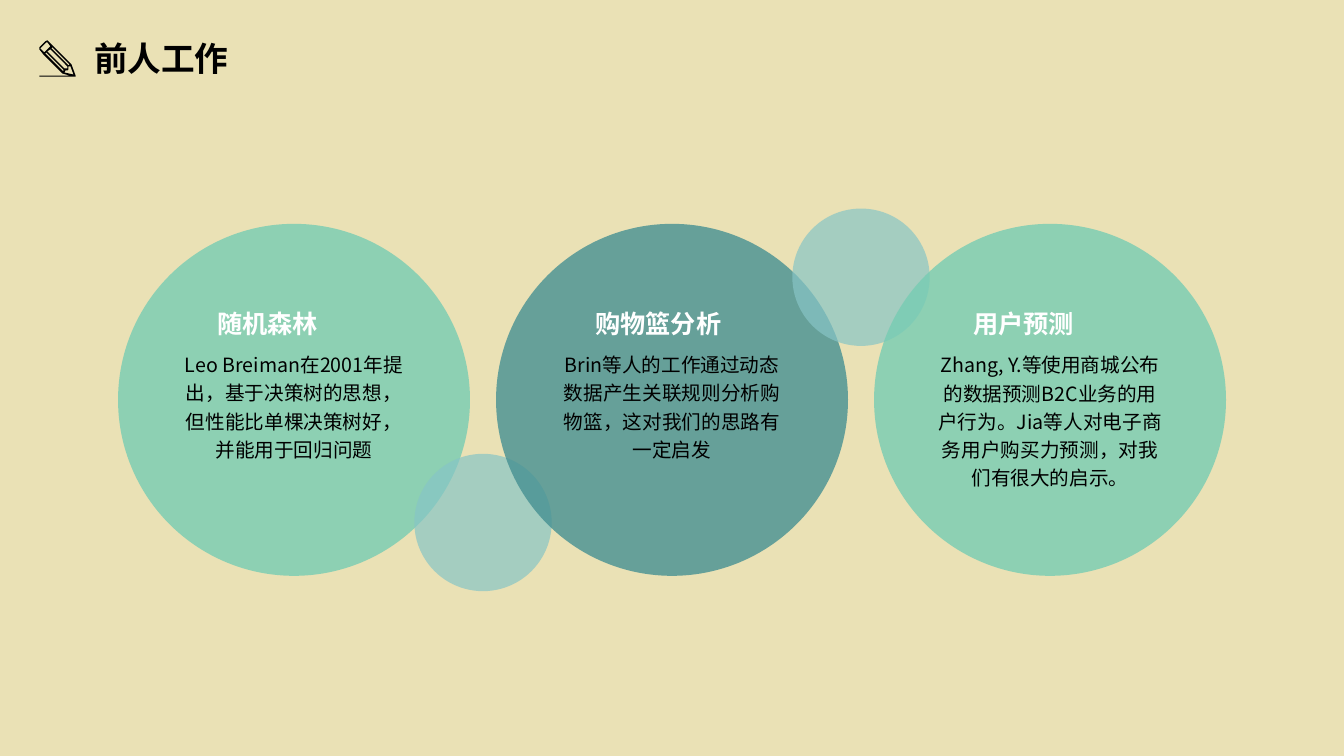
from dataclasses import dataclass

from lxml.etree import SubElement
from pptx import Presentation
from pptx.dml.color import RGBColor
from pptx.enum.shapes import MSO_SHAPE
from pptx.enum.text import MSO_ANCHOR, MSO_AUTO_SIZE as AutoSize, PP_ALIGN as Align
from pptx.oxml.ns import qn
from pptx.shapes.autoshape import Shape
from pptx.slide import Slide
from pptx.util import Emu, Inches, Pt

# The slide is a grid of 32 columns by 18 rows of square cells.
WIDTH, HEIGHT = Inches(13.333), Inches(7.5)
CELL = HEIGHT / 18


@dataclass(frozen=True)
class Theme:
    font: str = "Noto Sans CJK SC"
    sand: str = "EAE1B5"
    mint: str = "76CCB3"
    teal: str = "459092"
    aqua: str = "87C5C6"
    ink: str = "000000"
    white: str = "FFFFFF"
    title_size: int = 24
    heading_size: int = 18
    body_size: int = 14


@dataclass(frozen=True)
class Area:
    """A box in grid columns and rows."""
    left: float
    top: float
    width: float
    height: float

    def emu(self) -> list[Emu]:
        return [Emu(round(n * CELL)) for n in (self.left, self.top, self.width, self.height)]


@dataclass(frozen=True)
class Disc:
    column: float
    row: float
    size: float
    color: str
    opacity: int


@dataclass(frozen=True)
class Topic:
    heading: str
    body: str
    color: str
    body_rows: float


THEME = Theme()
CENTER, MIDDLE = 16, 9.52
PITCH = 9
TOPIC_SIZE, BUBBLE_SIZE, BUBBLE_SHIFT = 8.38, 3.27, 2.92

TOPICS = [
    Topic("随机森林",
          "Leo Breiman在2001年提出，基于决策树的思想，但性能比单棵决策树好，并能用于回归问题",
          THEME.mint, 2.95),
    Topic("购物篮分析",
          "Brin等人的工作通过动态数据产生关联规则分析购物篮，这对我们的思路有一定启发",
          THEME.teal, 2.95),
    Topic("用户预测",
          "Zhang, Y.等使用商城公布的数据预测B2C业务的用户行为。"
          "Jia等人对电子商务用户购买力预测，对我们有很大的启示。",
          THEME.mint, 3.62),
]

# Pencil contours in hundredths of an inch: outline with baseline, then the hollows.
PENCIL = [
    [(75, 76), (75, 75), (71, 64), (48, 41), (47, 40), (45, 41), (39, 47), (39, 49),
     (43, 54), (62, 73), (69, 75), (39, 75), (39, 76)],
    [(73, 74), (64, 72), (65, 70), (67, 70), (68, 69), (68, 66), (70, 66)],
    [(52, 47), (69, 64), (68, 65), (51, 48)],
    [(50, 49), (67, 66), (67, 68), (64, 68), (47, 51)],
    [(40, 48), (46, 42), (47, 42), (50, 46), (44, 52)],
    [(46, 52), (63, 69), (63, 71), (45, 53)],
]


def paint(shape: Shape, color: str, opacity: int = 100) -> None:
    shape.shadow.inherit = False
    shape.line.fill.background()
    shape.fill.solid()
    shape.fill.fore_color.rgb = RGBColor.from_string(color)
    if opacity < 100:
        tint = shape.fill._xPr.find(qn("a:solidFill"))[0]
        SubElement(tint, qn("a:alpha"), val=str(opacity * 1000))


def write(box: Shape, text: str, size: int, color: str, bold: bool = False,
          align: Align = Align.LEFT, spacing: float = 1.0) -> None:
    frame = box.text_frame
    frame.text = text
    frame.word_wrap = True
    frame.auto_size = AutoSize.SHAPE_TO_FIT_TEXT
    frame.vertical_anchor = MSO_ANCHOR.TOP
    para = frame.paragraphs[0]
    para.alignment = align
    para.line_spacing = spacing
    span = para.runs[0]
    span.font.size = Pt(size)
    span.font.bold = bold
    span.font.color.rgb = RGBColor.from_string(color)
    span.font.name = THEME.font
    SubElement(span.font._element, qn("a:ea"), typeface=THEME.font)


def add_disc(page: Slide, disc: Disc) -> None:
    area = Area(disc.column - disc.size / 2, disc.row - disc.size / 2, disc.size, disc.size)
    paint(page.shapes.add_shape(MSO_SHAPE.OVAL, *area.emu()), disc.color, disc.opacity)


def add_topic_text(page: Slide, topic: Topic, column: float) -> None:
    body = page.shapes.add_textbox(*Area(column - 2.99, 8.18, 5.98, topic.body_rows).emu())
    write(body, topic.body, THEME.body_size, THEME.ink, align=Align.CENTER, spacing=1.2)
    heading = page.shapes.add_textbox(*Area(column - 2.06, 7.22, 4.12, 0.97).emu())
    write(heading, topic.heading, THEME.heading_size, THEME.white, bold=True)


def add_pencil(page: Slide) -> None:
    first, *hollows = PENCIL
    builder = page.shapes.build_freeform(*first[0], scale=Inches(1) / 100)
    builder.add_line_segments(first[1:], close=True)
    for hollow in hollows:
        builder.move_to(*hollow[0])
        builder.add_line_segments(hollow[1:], close=True)
    paint(builder.convert_to_shape(), THEME.ink)


def main() -> None:
    deck = Presentation()
    deck.slide_width, deck.slide_height = WIDTH, HEIGHT
    page = deck.slides.add_slide(deck.slide_layouts[5])
    page.background.fill.solid()
    page.background.fill.fore_color.rgb = RGBColor.from_string(THEME.sand)

    title = page.shapes.title
    title.left, title.top, title.width, title.height = Area(2, 0.79, 7.06, 1.21).emu()
    write(title, "前人工作", THEME.title_size, THEME.ink, bold=True)

    columns = [CENTER + PITCH * (i - 1) for i in range(len(TOPICS))]
    for i, (topic, column) in enumerate(zip(TOPICS, columns)):
        if i:
            shift = BUBBLE_SHIFT if i % 2 else -BUBBLE_SHIFT
            add_disc(page, Disc(column - PITCH / 2, MIDDLE + shift, BUBBLE_SIZE, THEME.aqua, 70))
        add_disc(page, Disc(column, MIDDLE, TOPIC_SIZE, topic.color, 80))
    for topic, column in zip(TOPICS, columns):
        add_topic_text(page, topic, column)
    add_pencil(page)
    deck.save("out.pptx")


if __name__ == "__main__":
    main()
